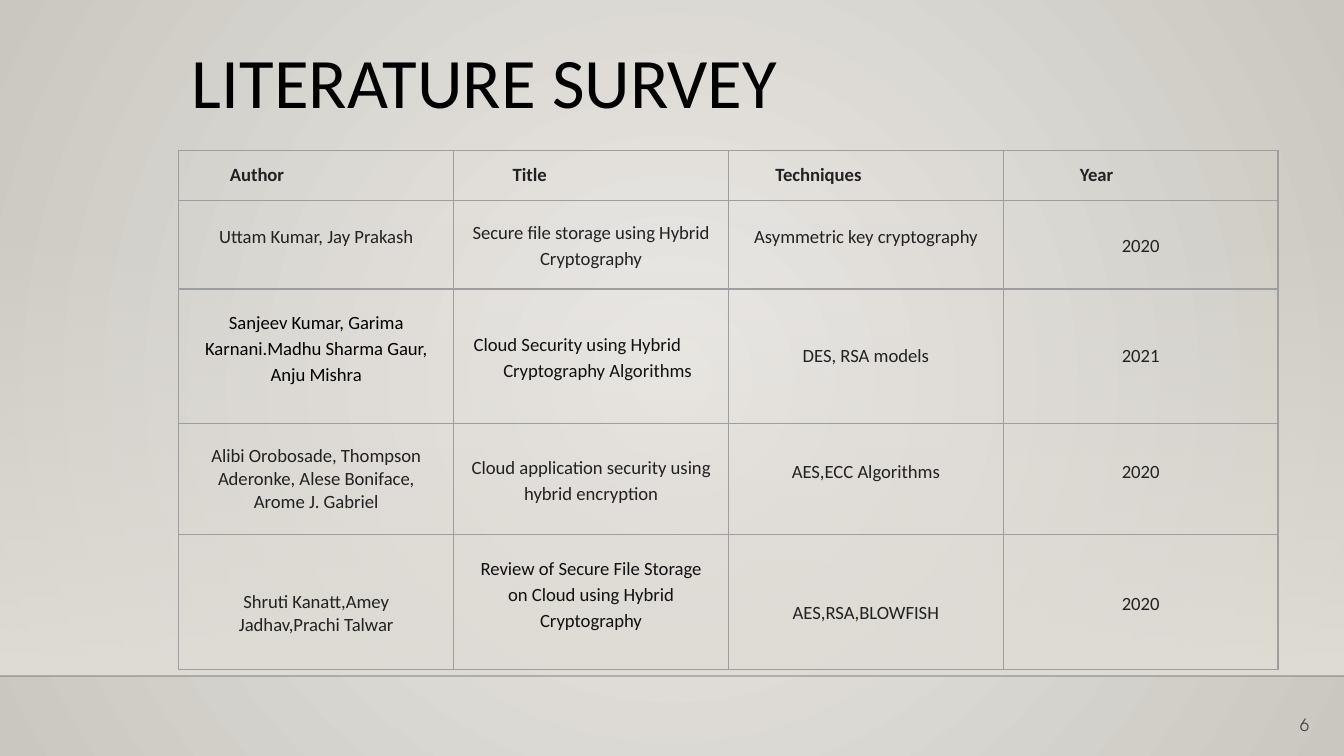
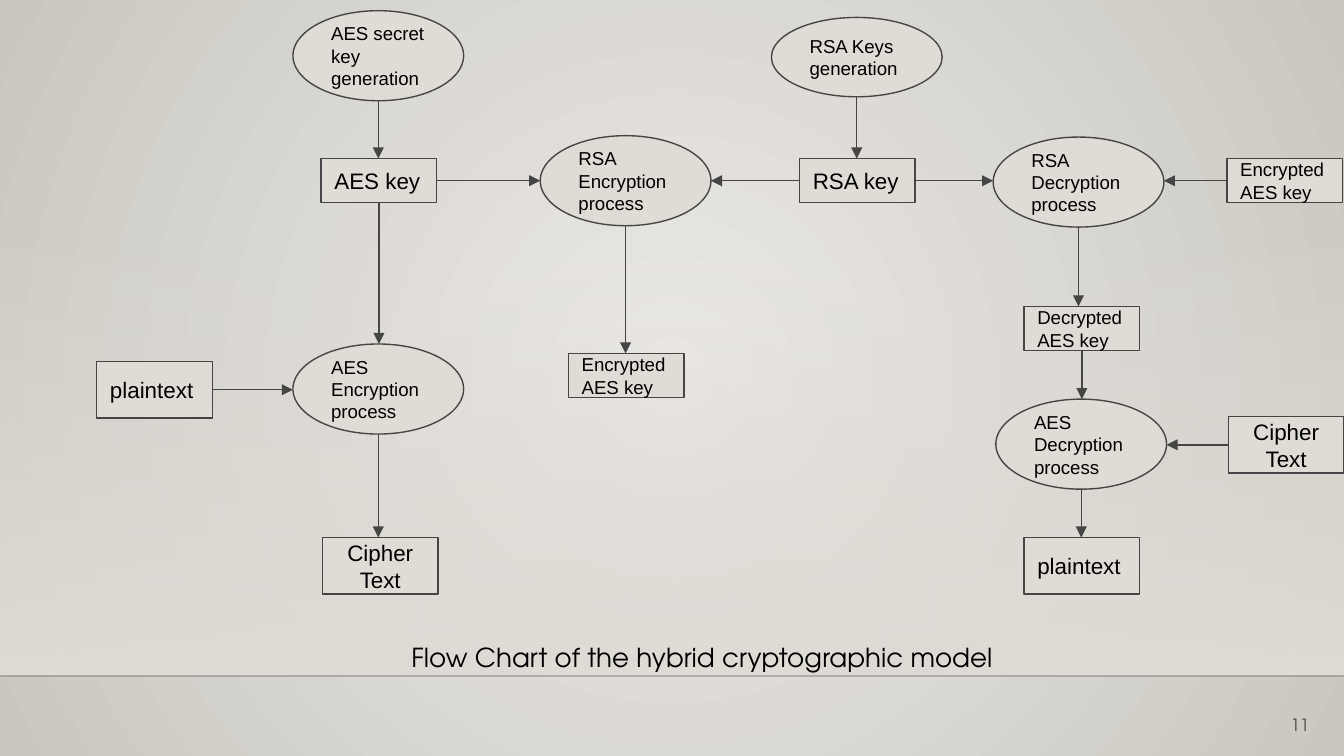
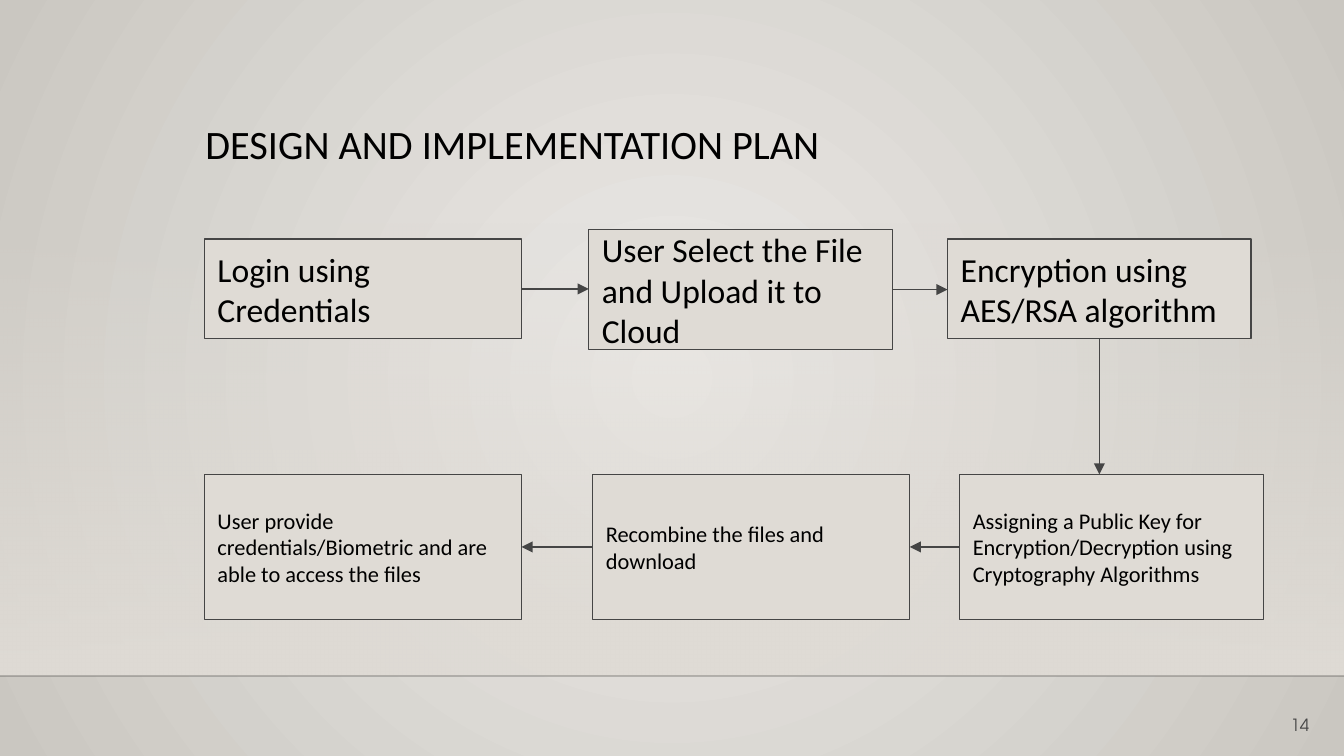
import lxml.etree
import pptx
import pptx.util
import pptx.dml.color
import pptx.enum.shapes
import pptx.enum.text
import pptx.oxml.ns

Inches, Pt = pptx.util.Inches, pptx.util.Pt
RGB = pptx.dml.color.RGBColor
SHAPE = pptx.enum.shapes.MSO_SHAPE
ALIGN = pptx.enum.text.PP_ALIGN
ANCHOR = pptx.enum.text.MSO_ANCHOR
qn = pptx.oxml.ns.qn

# Shared look
BLACK = RGB(0x00, 0x00, 0x00)
INK = RGB(0x22, 0x22, 0x22)
DARK = RGB(0x11, 0x11, 0x11)
GRAY = RGB(0x45, 0x45, 0x45)
GRID = RGB(0x9E, 0x9E, 0x9E)
SAND = RGB(0xDF, 0xDB, 0xD5)
GLOW = RGB(0xEC, 0xEA, 0xE7)
EDGE = RGB(0xCA, 0xC7, 0xC1)
BODY, PLAIN, ROUND = "Calibri", "Arial", "TeX Gyre Adventor"
WIDE, FLOOR = 10, 5.03
HIGH = WIDE * 9 / 16

# Survey: header (text, indent); cell (text, vertical shift, line spacing, colour)
HEAD = [("Author", 0.28), ("Title", 0.34), ("Techniques", 0.25), ("Year", 0.47)]
UP, DOWN = -0.13, 0.17
SURVEY = [
    [("Uttam Kumar, Jay Prakash", UP, 1.15, INK),
     ("Secure file storage using Hybrid Cryptography", 0, 1.15, INK),
     ("Asymmetric key cryptography", UP, 1.15, INK),
     ("2020", 0, 1.15, INK)],
    [("Sanjeev Kumar, Garima Karnani.Madhu Sharma Gaur, Anju Mishra", UP, 1.15, BLACK),
     ("Cloud Security using Hybrid Cryptography Algorithms", 0, 1.15, DARK),
     ("DES, RSA models", 0, 1, INK),
     ("2021", 0, 1, INK)],
    [("Alibi Orobosade, Thompson Aderonke, Alese Boniface, Arome J. Gabriel", 0, 1, INK),
     ("Cloud application security using hybrid encryption", 0, 1.15, INK),
     ("AES,ECC Algorithms", UP, 1.15, INK),
     ("2020", UP, 1.15, INK)],
    [("Shruti Kanatt,Amey Jadhav,Prachi Talwar", DOWN, 1, INK),
     ("Review of Secure File Storage on Cloud using Hybrid Cryptography", UP, 1.15, DARK),
     ("AES,RSA,BLOWFISH", DOWN, 1, INK),
     ("2020", 0, 1.15, INK)],
]
ROWS = [0.37, 0.66, 1, 0.83, 1]
HANG = {(2, 1): (0.27, -0.22)}  # row, column: left margin, first-line indent
SIDES = {(4, 1): 0.15}  # row, column: wider side margins

# Node kinds: preset, width, height, font, size, alignment
KINDS = {
    "oval": (SHAPE.OVAL, 1.27, 0.67, PLAIN, 10, ALIGN.LEFT),
    "flat": (SHAPE.OVAL, 1.27, 0.59, PLAIN, 10, ALIGN.LEFT),
    "key": (SHAPE.RECTANGLE, 0.86, 0.33, PLAIN, 12, ALIGN.LEFT),
    "pack": (SHAPE.RECTANGLE, 0.86, 0.33, PLAIN, 10, ALIGN.LEFT),
    "data": (SHAPE.RECTANGLE, 0.86, 0.42, PLAIN, 12, ALIGN.LEFT),
    "code": (SHAPE.RECTANGLE, 0.86, 0.42, PLAIN, 12, ALIGN.CENTER),
    "first": (SHAPE.RECTANGLE, 2.36, 0.74, BODY, 18, ALIGN.LEFT),
    "tall": (SHAPE.RECTANGLE, 2.26, 0.89, BODY, 18, ALIGN.LEFT),
    "step": (SHAPE.RECTANGLE, 2.26, 0.74, BODY, 18, ALIGN.LEFT),
    "note": (SHAPE.RECTANGLE, 2.36, 1.08, BODY, 12, ALIGN.LEFT),
    "slim": (SHAPE.RECTANGLE, 2.26, 1.08, BODY, 12, ALIGN.LEFT),
}

# Hybrid model: name -> kind, left, top, text; links: from, direction, to
MODEL = {
    "plain": ("data", 0.72, 2.69, "plaintext"),
    "aes enc": ("oval", 2.18, 2.56, "AES Encryption process"),
    "aes key": ("key", 2.39, 1.18, "AES key"),
    "aes gen": ("oval", 2.18, 0.08, "AES secret key generation"),
    "rsa enc": ("oval", 4.02, 1.01, "RSA Encryption process"),
    "rsa gen": ("flat", 5.74, 0.13, "RSA Keys generation"),
    "rsa key": ("key", 5.95, 1.18, "RSA key"),
    "locked": ("pack", 4.23, 2.63, "Encrypted AES key"),
    "cipher": ("code", 2.4, 4, "Cipher Text"),
    "rsa dec": ("oval", 7.39, 1.02, "RSA Decryption process"),
    "result": ("data", 7.62, 4, "plaintext"),
    "cipher in": ("code", 9.14, 3.1, "Cipher Text"),
    "aes dec": ("oval", 7.41, 2.97, "AES Decryption process"),
    "locked in": ("pack", 9.13, 1.18, "Encrypted AES key"),
    "opened": ("pack", 7.62, 2.28, "Decrypted AES key"),
}
MODEL_LINKS = [
    ("plain", "right", "aes enc"), ("aes key", "right", "rsa enc"),
    ("aes gen", "down", "aes key"), ("aes key", "down", "aes enc"),
    ("rsa gen", "down", "rsa key"), ("rsa key", "left", "rsa enc"),
    ("rsa enc", "down", "locked"), ("aes enc", "down", "cipher"),
    ("rsa key", "right", "rsa dec"), ("cipher in", "left", "aes dec"),
    ("aes dec", "down", "result"), ("locked in", "left", "rsa dec"),
    ("rsa dec", "down", "opened"), ("opened", "down", "aes dec"),
]

# Implementation plan
PLAN = {
    "login": ("first", 1.52, 1.78, "Login using Credentials"),
    "upload": ("tall", 4.38, 1.71, "User Select the File and Upload it to Cloud"),
    "encrypt": ("step", 7.05, 1.78, "Encryption using AES/RSA algorithm"),
    "assign": ("slim", 7.14, 3.53,
               "Assigning a Public Key for Encryption/Decryption using Cryptography Algorithms"),
    "merge": ("note", 4.41, 3.53, "Recombine the files and download"),
    "access": ("note", 1.52, 3.53,
               "User provide credentials/Biometric and are able to access the files"),
}
PLAN_LINKS = [
    ("login", "right", "upload"), ("upload", "right", "encrypt"),
    ("encrypt", "down", "assign"), ("assign", "left", "merge"),
    ("merge", "left", "access"),
]


def child(node, tag, **attrs):
    return lxml.etree.SubElement(node, qn(tag), attrs)


def write(frame, text, font, size, color, align=ALIGN.LEFT, bold=False, space=None):
    para = frame.paragraphs[0]
    para.alignment = align
    para.line_spacing = space
    run = para.add_run()
    run.text = text
    run.font.name, run.font.size, run.font.bold = font, Pt(size), bold
    run.font.color.rgb = color
    return para


def inset(frame):
    frame.word_wrap = True
    frame.margin_left = frame.margin_right = Inches(0.1)
    frame.margin_top = frame.margin_bottom = Inches(0.1)


def label(slide, box, text, font, size, color, align=ALIGN.LEFT,
          anchor=ANCHOR.TOP, space=None):
    frame = slide.shapes.add_textbox(*map(Inches, box)).text_frame
    inset(frame)
    frame.vertical_anchor = anchor
    write(frame, text, font, size, color, align, space=space)


def title(slide, box, text, size, space=None):
    label(slide, box, text, BODY, size, BLACK, space=space)


def line(slide, x1, y1, x2, y2, color, width):
    link = slide.shapes.add_connector(
        pptx.enum.shapes.MSO_CONNECTOR.STRAIGHT, *map(Inches, (x1, y1, x2, y2)))
    link.line.color.rgb = color
    link.line.width = Pt(width)
    child(link.element.spPr, "a:effectLst")
    return link.element.spPr.find(qn("a:ln"))


def blend(fill, start, end):
    fill.gradient()
    for stop, color, spot in zip(fill.gradient_stops, (start, end), (0, 1)):
        stop.color.rgb = color
        stop.position = spot


def base(deck, number):
    slide = deck.slides.add_slide(deck.slide_layouts[6])
    # Radial backdrop
    blend(slide.background.fill, GLOW, EDGE)
    grad = slide.element.find(".//" + qn("a:gradFill"))
    grad.remove(grad.find(qn("a:lin")))
    child(child(grad, "a:path", path="circle"), "a:fillToRect",
          l="50000", t="50000", r="50000", b="50000")
    # Wall fading in towards the floor line
    wall = slide.shapes.add_shape(
        SHAPE.RECTANGLE, *map(Inches, (0, 1.66, WIDE, FLOOR - 1.66)))
    wall.shadow.inherit = False
    wall.line.fill.background()
    blend(wall.fill, SAND, SAND)
    wall.fill.gradient_angle = 270
    child(wall.element.spPr.find(".//" + qn("a:srgbClr")), "a:alpha", val="0")
    ln = line(slide, 0, FLOOR, WIDE, FLOOR, BLACK, 1)
    child(ln.find(".//" + qn("a:srgbClr")), "a:alpha", val="20000")
    # Slide number
    label(slide, (9.24, 5.18, 0.6, 0.43), number, ROUND, 9, GRAY,
          ALIGN.RIGHT, ANCHOR.MIDDLE)
    return slide


def flow(slide, nodes, links):
    for kind, x, y, text in nodes.values():
        preset, w, h, font, size, align = KINDS[kind]
        node = slide.shapes.add_shape(preset, *map(Inches, (x, y, w, h)))
        node.shadow.inherit = False
        node.fill.solid()
        node.fill.fore_color.rgb = SAND
        node.line.color.rgb = GRAY
        node.line.width = Pt(0.75)
        inset(node.text_frame)
        node.text_frame.vertical_anchor = ANCHOR.MIDDLE
        write(node.text_frame, text, font, size, BLACK, align)
    # Arrows leave the middle of one side and run straight to the facing side
    for start, way, end in links:
        kind, x, y, _ = nodes[start]
        w, h = KINDS[kind][1:3]
        goal, gx, gy, _ = nodes[end]
        midx, midy = x + w / 2, y + h / 2
        ends = {
            "right": (x + w, midy, gx, midy),
            "left": (x, midy, gx + KINDS[goal][1], midy),
            "down": (midx, y + h, midx, gy),
        }[way]
        child(line(slide, *ends, GRAY, 0.75), "a:tailEnd", type="triangle")


def frame_cell(cell):
    cell.fill.background()
    props = cell._tc.get_or_add_tcPr()
    for i, side in enumerate("LRTB"):
        edge = child(props, "a:ln" + side, w=str(Pt(0.75)))
        child(child(edge, "a:solidFill"), "a:srgbClr", val=str(GRID))
        props.insert(i, edge)


def indent(para, left, first):
    props = para._p.get_or_add_pPr()
    props.set("marL", str(Inches(left)))
    props.set("indent", str(Inches(first)))
    para.alignment = ALIGN.LEFT


def survey(slide):
    table = slide.shapes.add_table(
        len(ROWS), len(HEAD), *map(Inches, (1.33, 1.12, 8.18, sum(ROWS)))).table
    table.first_row = table.horz_banding = False
    for row, high in zip(table.rows, ROWS):
        row.height = Inches(high)
    for col in table.columns:
        col.width = Inches(8.18 / len(HEAD))
    for cell in table.iter_cells():
        frame_cell(cell)
        cell.margin_left = cell.margin_right = Inches(0.1)
        cell.margin_top = cell.margin_bottom = Inches(0.1)
    for c, (text, left) in enumerate(HEAD):
        para = write(table.cell(0, c).text_frame, text, BODY, 10, INK, bold=True)
        indent(para, left, 0)
    for r, row in enumerate(SURVEY, 1):
        for c, (text, shift, space, color) in enumerate(row):
            cell = table.cell(r, c)
            cell.vertical_anchor = ANCHOR.MIDDLE
            cell.margin_left = cell.margin_right = Inches(SIDES.get((r, c), 0.1))
            cell.margin_top = Inches(0.1 + max(shift, 0))
            cell.margin_bottom = Inches(0.1 + max(-shift, 0))
            para = write(cell.text_frame, text, BODY, 10, color, ALIGN.CENTER, space=space)
            if (r, c) in HANG:
                indent(para, *HANG[r, c])


def main():
    deck = pptx.Presentation()
    deck.slide_width, deck.slide_height = Inches(WIDE), Inches(HIGH)

    slide = base(deck, "6")
    title(slide, (1.33, 0.18, 7.69, 1.09), "LITERATURE SURVEY", 38)
    survey(slide)

    slide = base(deck, "11")
    flow(slide, MODEL, MODEL_LINKS)
    label(slide, (2.83, 4.67, 4.79, 0.44), "Flow Chart of the hybrid cryptographic model",
          ROUND, 14, BLACK, ALIGN.CENTER)

    slide = base(deck, "14")
    title(slide, (1.43, 0.83, 5.91, 0.52), "DESIGN AND IMPLEMENTATION PLAN", 21.6, 0.9)
    flow(slide, PLAN, PLAN_LINKS)

    deck.save("out.pptx")


if __name__ == "__main__":
    main()
